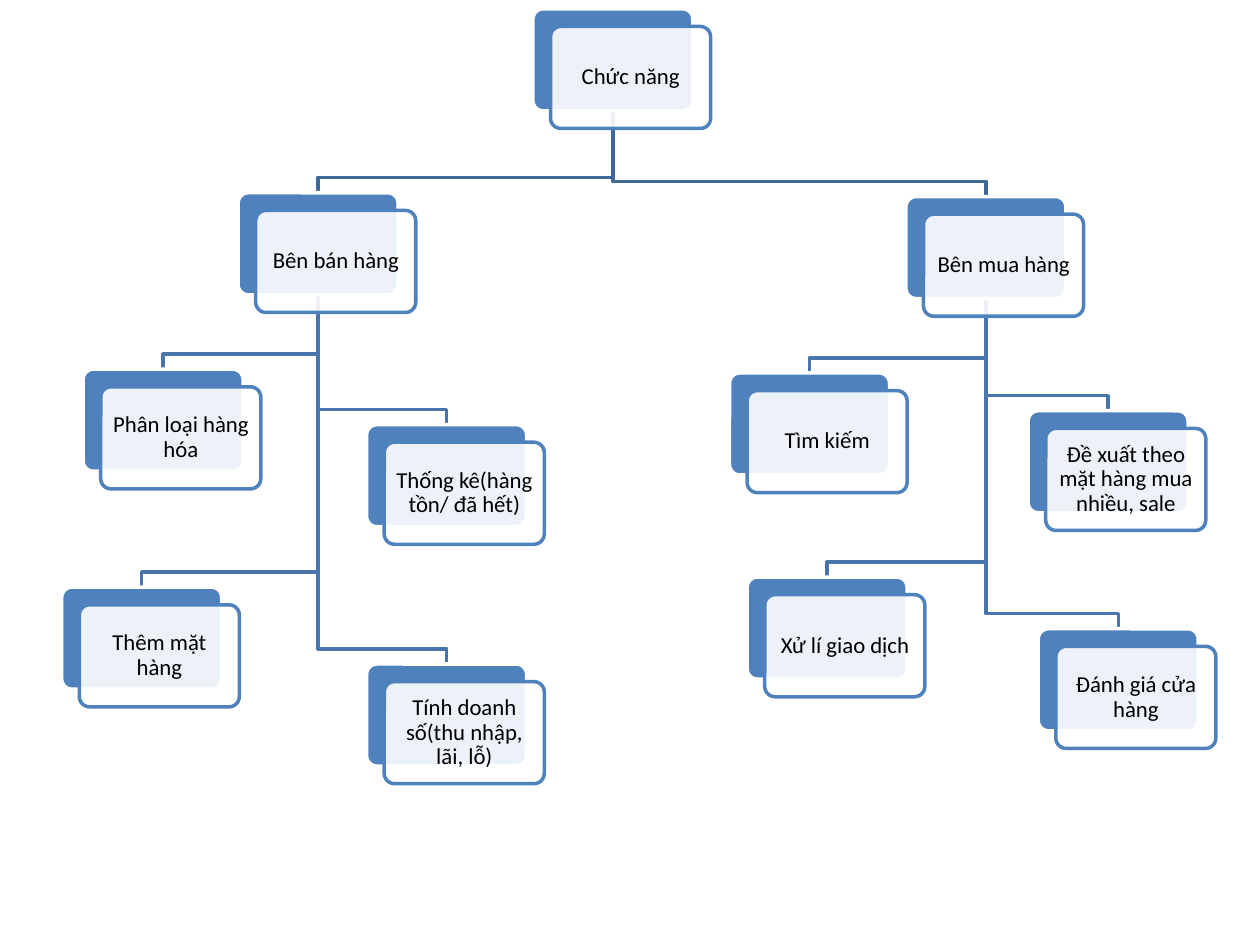
from lxml import etree
from pptx import Presentation
from pptx.dml.color import RGBColor
from pptx.enum.shapes import MSO_SHAPE
from pptx.enum.text import MSO_ANCHOR, PP_ALIGN
from pptx.oxml.ns import qn
from pptx.util import Inches, Pt

ROUNDED = MSO_SHAPE.ROUNDED_RECTANGLE
MIDDLE = MSO_ANCHOR.MIDDLE
CENTER = PP_ALIGN.CENTER

COLORS = {
    "card": "4F81BD",
    "panel": "FFFFFF",
    "main_link": "3F6797",
    "sub_link": "4875AC",
    "text": "000000",
}

# Card geometry in inches
CARD_WIDTH, CARD_HEIGHT = 1.27, 0.81
PANEL_SHIFT = 0.14
TEXT_INSET = 0.02
ELBOW_DROP = 0.12

# Each node: label, left, top, children
TREE = ("Chức năng", 4.23, 0.07, [
    ("Bên bán hàng", 1.89, 1.53, [
        ("Phân loại hàng hóa", 0.66, 2.93, []),
        ("Thêm mặt hàng", 0.49, 4.66, []),
        ("Thống kê(hàng tồn/ đã hết)", 2.91, 3.37, []),
        ("Tính doanh số(thu nhập, lãi, lỗ)", 2.91, 5.27, []),
    ]),
    ("Bên mua hàng", 7.19, 1.56, [
        ("Tìm kiếm", 5.79, 2.96, []),
        ("Xử lí giao dịch", 5.93, 4.58, []),
        ("Đề xuất theo mặt hàng mua nhiều, sale", 8.16, 3.26, []),
        ("Đánh giá cửa hàng", 8.24, 4.99, []),
    ]),
])


def color(name):
    return RGBColor.from_string(COLORS[name])


def set_line(shape, name):
    shape.shadow.inherit = False
    shape.line.color.rgb = color(name)
    shape.line.width = Pt(2)


def add_text(page, text, left, top, width, height, size=13, font="Calibri",
             tone="text", align=CENTER, spacing=0.9, margin=0.05):
    box = page.shapes.add_textbox(Inches(left), Inches(top), Inches(width), Inches(height))
    frame = box.text_frame
    frame.word_wrap = True
    frame.vertical_anchor = MIDDLE
    frame.margin_left = frame.margin_right = Inches(margin)
    frame.margin_top = frame.margin_bottom = Inches(margin)
    para = frame.paragraphs[0]
    para.alignment = align
    para.line_spacing = spacing
    span = para.add_run()
    span.text = text
    span.font.size = Pt(size)
    span.font.name = font
    span.font.color.rgb = color(tone)


def add_rounded(page, left, top, fill, line, opacity=100):
    shape = page.shapes.add_shape(ROUNDED, Inches(left), Inches(top),
                                  Inches(CARD_WIDTH), Inches(CARD_HEIGHT))
    shape.adjustments[0] = 0.1
    shape.fill.solid()
    shape.fill.fore_color.rgb = color(fill)
    if opacity < 100:
        tint = shape.fill._xPr.find(qn("a:solidFill"))[0]
        etree.SubElement(tint, qn("a:alpha")).set("val", str(opacity * 1000))
    set_line(shape, line)


def add_link(page, parent, child, tone):
    start_x = parent[1] + CARD_WIDTH / 2
    end_x, end_y = child[1] + CARD_WIDTH / 2, child[2]
    elbow_y = end_y - ELBOW_DROP
    route = [(start_x, parent[2] + CARD_HEIGHT), (start_x, elbow_y),
             (end_x, elbow_y), (end_x, end_y)]
    points = [(Inches(x), Inches(y)) for x, y in route]
    builder = page.shapes.build_freeform(*points[0])
    builder.add_line_segments(points[1:], close=False)
    link = builder.convert_to_shape()
    link.fill.background()
    set_line(link, tone)


def add_links(page, node, tone="main_link"):
    for child in node[3]:
        add_link(page, node, child, tone)
        add_links(page, child, "sub_link")


def add_cards(page, node):
    label, left, top, children = node
    panel_left, panel_top = left + PANEL_SHIFT, top + PANEL_SHIFT
    add_rounded(page, left, top, "card", "panel")
    add_rounded(page, panel_left, panel_top, "panel", "card", opacity=90)
    add_text(page, label, panel_left + TEXT_INSET, panel_top + TEXT_INSET,
             CARD_WIDTH - 2 * TEXT_INSET, CARD_HEIGHT - 2 * TEXT_INSET)
    for child in children:
        add_cards(page, child)


def main():
    deck = Presentation()
    deck.slide_width, deck.slide_height = Inches(10), Inches(7.5)
    page = deck.slides.add_slide(deck.slide_layouts[6])
    # Links lie behind the cards
    add_links(page, TREE)
    add_cards(page, TREE)
    deck.save("out.pptx")


main()
